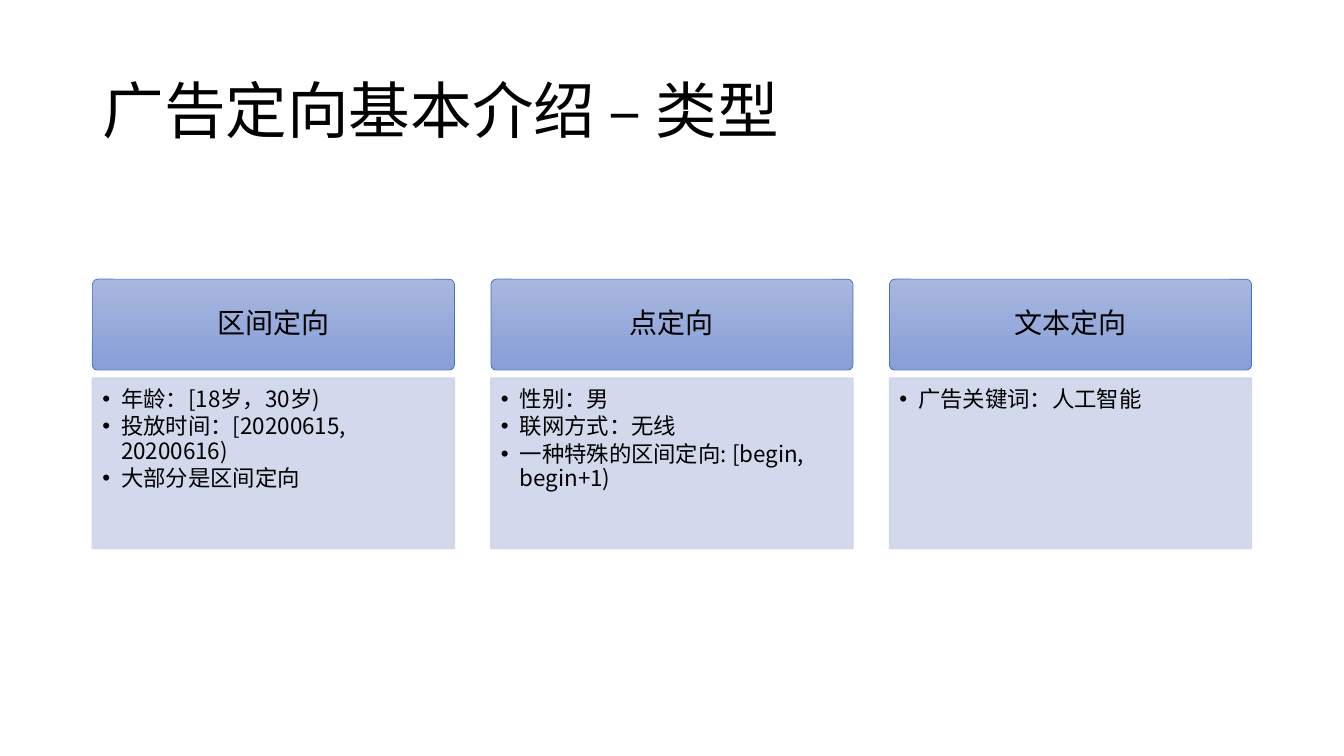
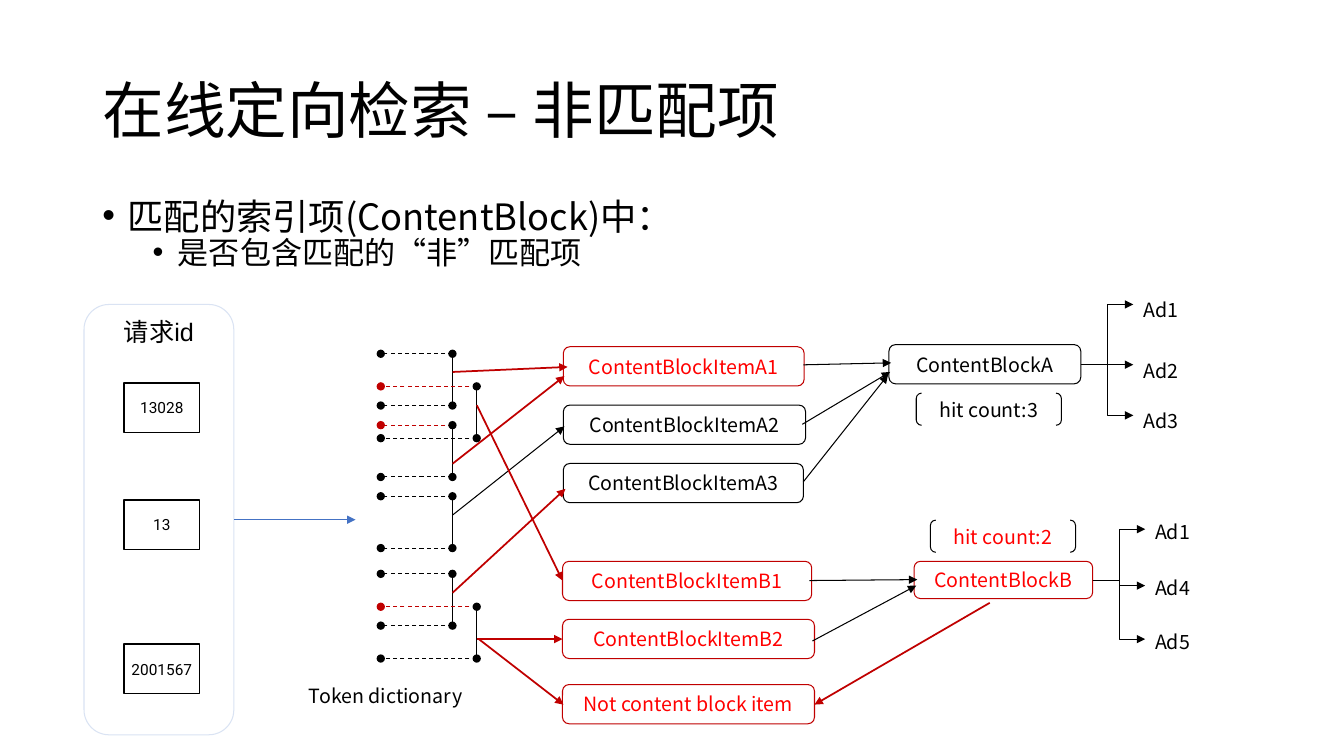
from lxml.etree import SubElement
from pptx import Presentation
from pptx.dml.color import RGBColor
from pptx.enum.dml import MSO_LINE
from pptx.enum.shapes import MSO_CONNECTOR, MSO_SHAPE
from pptx.enum.text import MSO_ANCHOR, MSO_AUTO_SIZE, PP_ALIGN
from pptx.oxml.ns import qn
from pptx.util import Pt

COLORS = {
    "black": "000000", "white": "FFFFFF", "blue": "4472C4", "pale": "DAE3F3",
    "head_top": "A8B7DF", "head_end": "889ED7", "card": "CFD5EA",
    "dark_red": "C00000", "red": "FF0000",
}
FONT = "Noto Sans CJK SC"


def rgb(name):
    """Return the named colour."""
    return RGBColor.from_string(COLORS[name])


def write(tf, text, size=14, color="black", font=FONT, align=PP_ALIGN.LEFT,
          spacing=1.0, before=0, after=0, margin=None, hang=18):
    """Add a paragraph to a text frame, bulleted when a margin is given."""
    p = tf.add_paragraph() if tf.text else tf.paragraphs[0]
    p.alignment, p.line_spacing = align, spacing
    p.space_before, p.space_after = Pt(before), Pt(after)
    if margin is not None:
        pPr = p._p.get_or_add_pPr()
        pPr.set("marL", str(Pt(margin)))
        pPr.set("indent", str(-Pt(hang)))
        SubElement(pPr, qn("a:buFont"), typeface="Arial")
        SubElement(pPr, qn("a:buChar"), char="•")
    r = p.add_run()
    r.text = text
    r.font.size, r.font.name = Pt(size), font
    r.font.color.rgb = rgb(color)
    SubElement(r._r.get_or_add_rPr(), qn("a:ea"), typeface=FONT)


def add_box(s, kind, x, y, w, h, fill=None, line="black", width=0.75, adj=None):
    """Add a preset shape without a shadow."""
    sp = s.shapes.add_shape(kind, Pt(x), Pt(y), Pt(w), Pt(h))
    sp.shadow.inherit = False
    if adj is not None:
        sp.adjustments[0] = adj
    if fill:
        sp.fill.solid()
        sp.fill.fore_color.rgb = rgb(fill)
    else:
        sp.fill.background()
    sp.line.color.rgb = rgb(line)
    sp.line.width = Pt(width)
    return sp


def add_label(s, kind, text, x, y, w, h, color="black", size=14, font=FONT, **look):
    """Add a shape with one centred line of text."""
    sp = add_box(s, kind, x, y, w, h, **look)
    sp.text_frame.word_wrap = False
    write(sp.text_frame, text, size=size, color=color, font=font, align=PP_ALIGN.CENTER)


def add_text(s, x, y, w, h):
    """Add a wrapping text box and return its text frame."""
    tf = s.shapes.add_textbox(Pt(x), Pt(y), Pt(w), Pt(h)).text_frame
    tf.word_wrap = True
    return tf


def add_line(s, x1, y1, x2, y2, color="black", width=0.75, head=None, tail="triangle",
             dash=False, kind=MSO_CONNECTOR.STRAIGHT):
    """Add a connector with optional end marks."""
    cx = s.shapes.add_connector(kind, Pt(x1), Pt(y1), Pt(x2), Pt(y2))
    cx.line.color.rgb = rgb(color)
    cx.line.width = Pt(width)
    if dash:
        cx.line.dash_style = MSO_LINE.DASH
    ln = cx.line._get_or_add_ln()
    for tag, mark in (("a:headEnd", head), ("a:tailEnd", tail)):
        if mark:
            SubElement(ln, qn(tag), type=mark)
    SubElement(cx._element.spPr, qn("a:effectLst"))


def new_slide(prs, title):
    """Add a title-only slide with the shared title style."""
    s = prs.slides.add_slide(prs.slide_layouts[5])
    sp = s.shapes.title
    sp.left, sp.top, sp.width, sp.height = Pt(66), Pt(28.8), Pt(828), Pt(104.4)
    tf = sp.text_frame
    tf.word_wrap, tf.auto_size = True, MSO_AUTO_SIZE.NONE
    tf.vertical_anchor = MSO_ANCHOR.MIDDLE
    write(tf, title, size=44, spacing=0.9)
    return s


def add_card(s, x, y, w, heading, lines):
    """Draw a gradient heading above a box of bullets."""
    head = add_box(s, MSO_SHAPE.ROUNDED_RECTANGLE, x, y, w, 65, line="blue", width=0.5, adj=0.06)
    head.fill.gradient()
    head.fill.gradient_angle = 270
    for stop, color in zip(head.fill.gradient_stops, ("head_top", "head_end")):
        stop.color.rgb = rgb(color)
    write(head.text_frame, heading, size=20, align=PP_ALIGN.CENTER, spacing=0.9)

    body = add_box(s, MSO_SHAPE.RECTANGLE, x, y + 70.6, w, 121.7, fill="card", line="card", width=1)
    for clr in body._element.spPr.iter(qn("a:srgbClr")):
        SubElement(clr, qn("a:alpha"), val="90000")
    tf = body.text_frame
    tf.vertical_anchor = MSO_ANCHOR.TOP
    tf.margin_left, tf.margin_top = Pt(7.2), Pt(7.2)
    tf.margin_right, tf.margin_bottom = Pt(10), Pt(11.5)
    for text in lines:
        write(tf, text, size=16, spacing=0.9, after=2.4, margin=13.5, hang=13.5)


def add_request(s, x, y, w, h):
    """Draw the request panel with its ids and the arrow that leaves it."""
    panel = add_box(s, MSO_SHAPE.ROUNDED_RECTANGLE, x, y, w, h, line="pale")
    panel.text_frame.vertical_anchor = MSO_ANCHOR.TOP
    write(panel.text_frame, "请求id", size=18, font="Arial", align=PP_ALIGN.CENTER)
    for text, dy in (("13028", 56), ("13", 139.7), ("2001567", 242.6)):
        add_label(s, MSO_SHAPE.RECTANGLE, text, x + 28.6, y + dy, 54, 35.3,
                  size=11, font="Roboto", fill="white", width=1)
    add_line(s, x + w, y + h / 2, x + w + 87, y + h / 2, color="blue", width=0.5)


def add_dictionary(s, x, y):
    """Draw the token ranges as vertical rails with dashed ends."""
    rails = ((51.2, 0, "black"), (51.2, 51, "dark_red"), (51.2, 101.8, "black"),
             (51.2, 157.2, "black"), (68.5, 23.3, "dark_red"), (68.5, 180.7, "dark_red"))
    for dx, dy, color in rails:
        top, bottom = y + dy, y + dy + 37
        add_line(s, x + dx, top, x, top, color=color, tail="oval", dash=True)
        add_line(s, x + dx, bottom, x, bottom, tail="oval", dash=True)
        add_line(s, x + dx, top, x + dx, bottom, head="oval", tail="oval")
    write(add_text(s, x - 58.4, y + 232.6, 158, 24), "Token dictionary")


def add_blocks(s, x, y):
    """Draw the content blocks, their items and hit counts."""
    rounded, bracket = MSO_SHAPE.ROUNDED_RECTANGLE, MSO_SHAPE.DOUBLE_BRACKET
    blocks = (
        (rounded, "ContentBlockItemA1", 130.4, 30.7, 172, 28, "red"),
        (rounded, "ContentBlockItemA2", 130.4, 72.4, 173, 28, "black"),
        (rounded, "ContentBlockItemA3", 130.4, 114.1, 171.5, 28, "black"),
        (rounded, "ContentBlockItemB1", 129.8, 184, 178, 28, "red"),
        (rounded, "ContentBlockItemB2", 129.8, 225.4, 180, 28, "red"),
        (rounded, "Not content block item", 129.8, 272, 180, 28, "red"),
        (rounded, "ContentBlockA", 363, 29.2, 137, 28, "black"),
        (rounded, "ContentBlockB", 381, 184, 127.5, 26.6, "red"),
        (bracket, "hit count:3", 382.5, 63.8, 103.7, 23, "black"),
        (bracket, "hit count:2", 392.6, 154.5, 103.7, 23, "red"),
    )
    for kind, text, dx, dy, w, h, color in blocks:
        line = "dark_red" if color == "red" and kind == rounded else "black"
        add_label(s, kind, text, x + dx, y + dy, w, h, color=color, line=line, adj=0.167)


def add_links(s, x, y):
    """Draw the arrows between ranges, items and blocks."""
    plain = ((301.8, 43.6, 364.5, 42.2), (301.1, 86.1, 363.8, 48.7), (301.8, 127.2, 362.3, 50.8),
             (306.2, 197.7, 383.2, 197), (308.3, 240.9, 382.5, 201.3), (51.3, 150.9, 131.2, 87.6))
    hits = ((51.3, 48.7, 133.4, 45.1), (51.3, 114.2, 131.2, 51.6), (68.6, 72.4, 129.8, 197.7),
            (51.3, 206.4, 131.9, 132.2), (68.6, 239.5, 129.8, 239.5), (70, 239.5, 130.5, 286.3),
            (435, 213.6, 309.8, 286.3))
    for links, color, width in ((plain, "black", 0.75), (hits, "dark_red", 1.25)):
        for x1, y1, x2, y2 in links:
            add_line(s, x + x1, y + y1, x + x2, y + y2, color=color, width=width)


def add_ads(s, x, y, ads, lift):
    """Branch from a block to its ads."""
    for text, dy in ads:
        add_line(s, x, y, x + 37.5, y + dy, width=0.5, kind=MSO_CONNECTOR.ELBOW)
        write(add_text(s, x + 37.5, y + dy - lift, 62.6, 22), text, spacing=1.1)


def build_types(prs):
    """Build the slide on targeting types."""
    s = new_slide(prs, "广告定向基本介绍 – 类型")
    cards = (
        ("区间定向", ("年龄：[18岁，30岁)", "投放时间：[20200615, 20200616)", "大部分是区间定向")),
        ("点定向", ("性别：男", "联网方式：无线", "一种特殊的区间定向: [begin, begin+1)")),
        ("文本定向", ("广告关键词：人工智能",)),
    )
    left, width, gap = 66, 828, 26
    w = (width - gap * (len(cards) - 1)) / len(cards)
    for i, (heading, lines) in enumerate(cards):
        add_card(s, left + i * (w + gap), 199.4, w, heading, lines)


def build_retrieval(prs):
    """Build the slide on retrieval with excluded items."""
    s = new_slide(prs, "在线定向检索 – 非匹配项")
    tf = add_text(s, 66, 144, 828, 55.4)
    write(tf, "匹配的索引项(ContentBlock)中：", size=25.9, spacing=0.7, before=10, margin=18)
    write(tf, "是否包含匹配的“非”匹配项", size=22.2, spacing=0.7, before=5, margin=54)
    x, y = 272, 217
    add_request(s, 60, y + 0.5, 107, 307.4)
    add_dictionary(s, x, y + 35.7)
    add_blocks(s, x, y)
    add_links(s, x, y)
    add_ads(s, x + 500, y + 43, (("Ad1", -42.5), ("Ad2", 0.5), ("Ad3", 36.7)), 9.6)
    add_ads(s, x + 508.5, y + 197.7, (("Ad1", -36.7), ("Ad4", 3.6), ("Ad5", 41.8)), 11.9)


def main():
    """Build and save the presentation."""
    prs = Presentation()
    prs.slide_width, prs.slide_height = Pt(960), Pt(540)
    build_types(prs)
    build_retrieval(prs)
    prs.save("out.pptx")


if __name__ == "__main__":
    main()
